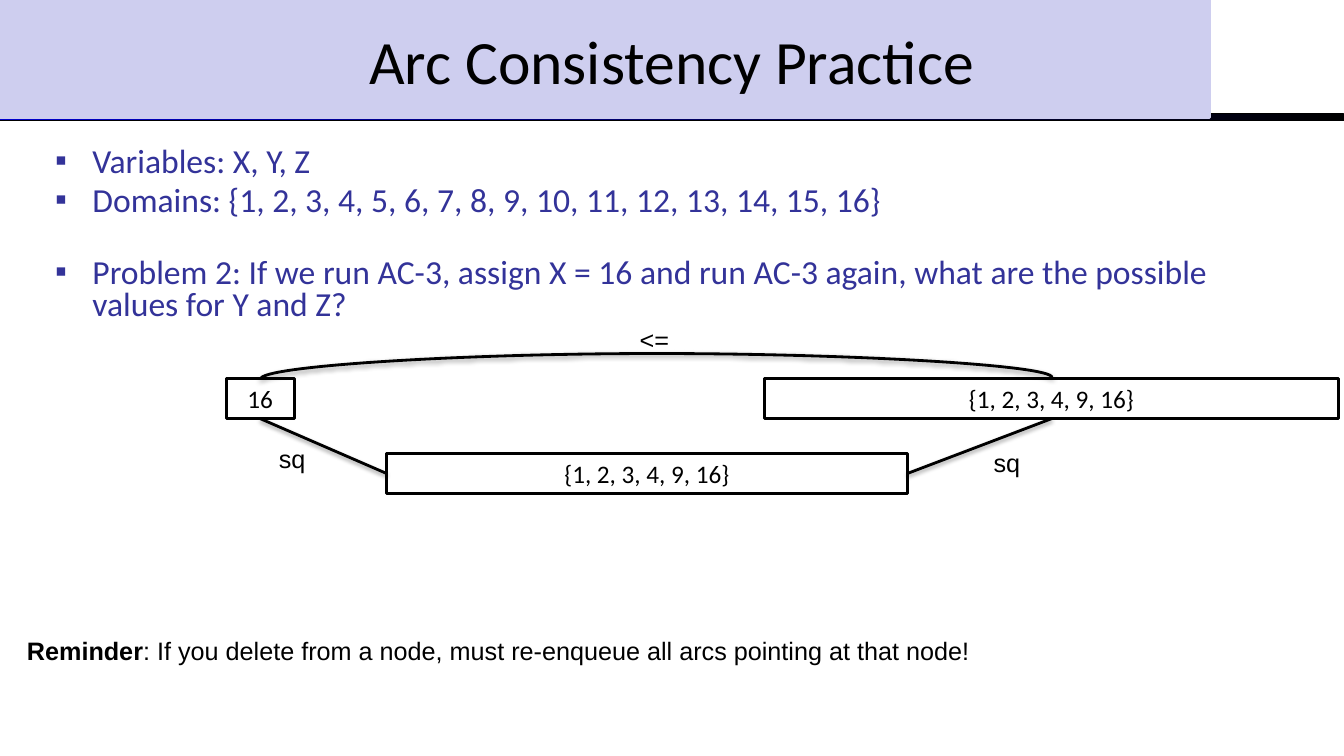
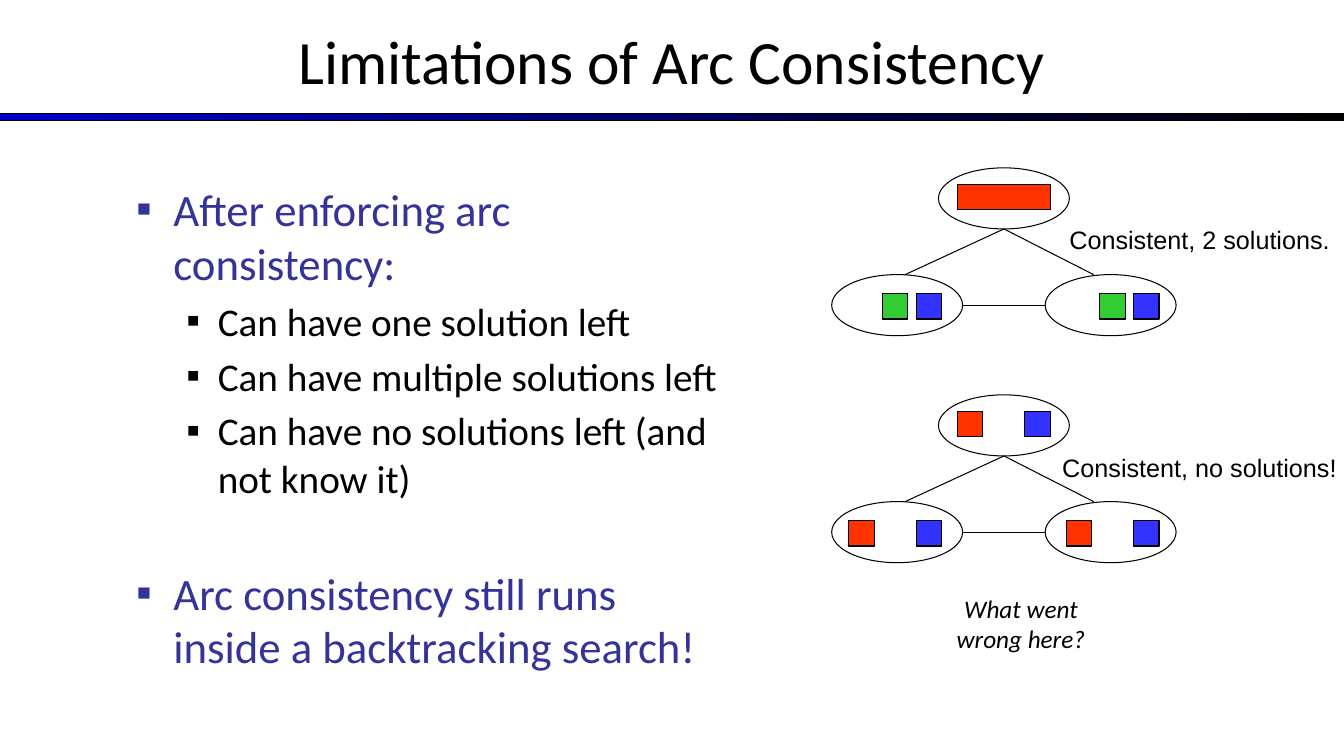
from dataclasses import dataclass

from lxml.etree import SubElement
from pptx import Presentation
from pptx.dml.color import RGBColor
from pptx.enum.shapes import MSO_CONNECTOR, MSO_SHAPE
from pptx.enum.text import MSO_ANCHOR, PP_ALIGN
from pptx.oxml.ns import qn
from pptx.util import Cm, Pt

COLOURS = {
    "black": "000000",
    "white": "FFFFFF",
    "bar": "0000CC",
    "band": "CECEEF",
    "point": "333399",
    "red": "FF3300",
    "green": "33CC33",
    "blue": "3333FF",
}
SLIDE_WIDTH, SLIDE_HEIGHT = 33.87, 19.05
THIN, THICK = 0.75, 2
TILE, TILE_STEP = 0.64, 0.85
NODE_WIDTH, NODE_HEIGHT = 3.3, 1.54
GRAPH_STEP = 5.72


@dataclass
class Area:
    """A rectangle in centimetres."""
    left: float
    top: float
    width: float
    height: float

    def lengths(self) -> list:
        return [Cm(value) for value in (self.left, self.top, self.width, self.height)]


@dataclass
class Span:
    text: str
    size: float = 18
    font: str = "Arial"
    colour: str = "black"
    bold: bool = False
    italic: bool = False


@dataclass
class Bullet:
    text: str
    size: float
    space: float = 0
    level: int = 0


@dataclass
class Node:
    left: float
    top: float
    tile_left: float
    tile_top: float


@dataclass
class Tile:
    colour: str
    slot: int
    slots: int = 1


@dataclass
class Graph:
    domains: list
    caption: str
    caption_area: Area


INDENTS = [(0.94, -0.94), (2.06, -0.79)]
NODES = [
    Node(23.65, 4.23, 0.48, 0.42),
    Node(20.96, 6.92, 0.43, 0.48),
    Node(26.34, 6.92, 0.53, 0.48),
]
EDGES = [
    (25.3, 5.77, 22.81, 6.92),
    (25.3, 5.77, 27.56, 6.92),
    (24.26, 7.7, 26.34, 7.7),
]
GREEN_BLUE = [Tile("green", 1), Tile("blue", 2)]
RED_BLUE = [Tile("red", 0), Tile("blue", 2)]
GRAPHS = [
    Graph([[Tile("red", 0, 3)], GREEN_BLUE, GREEN_BLUE],
          "Consistent, 2 solutions.", Area(26.7, 5.54, 7.16, 1.02)),
    Graph([RED_BLUE] * 3,
          "Consistent, no solutions!", Area(26.52, 11.28, 7.34, 1.02)),
]


def colour_of(name: str) -> RGBColor:
    return RGBColor.from_string(COLOURS[name])


def add_span(para, span: Span) -> None:
    run = para.add_run()
    run.text = span.text
    font = run.font
    font.name, font.size = span.font, Pt(span.size)
    font.bold, font.italic = span.bold, span.italic
    font.color.rgb = colour_of(span.colour)


def add_text(page, area: Area, spans: list, align=PP_ALIGN.LEFT,
             anchor=MSO_ANCHOR.TOP, wrap: bool = False):
    box = page.shapes.add_textbox(*area.lengths())
    frame = box.text_frame
    frame.word_wrap, frame.vertical_anchor = wrap, anchor
    para = frame.paragraphs[0]
    para.alignment = align
    for span in spans:
        add_span(para, span)
    return box


def add_form(shapes, kind, area: Area, fill: str | None, weight: float,
             line: str = "black"):
    form = shapes.add_shape(kind, *area.lengths())
    form.shadow.inherit = False
    if fill:
        form.fill.solid()
        form.fill.fore_color.rgb = colour_of(fill)
    else:
        form.fill.background()
    form.line.color.rgb = colour_of(line)
    form.line.width = Pt(weight)
    return form


def add_line(shapes, ends: tuple, weight: float, kind=MSO_CONNECTOR.STRAIGHT,
             shadow: bool = False):
    connector = shapes.add_connector(kind, *[Cm(value) for value in ends])
    connector.line.color.rgb = colour_of("black")
    connector.line.width = Pt(weight)
    effects = SubElement(connector.element.spPr, qn("a:effectLst"))
    if shadow:
        outer = SubElement(effects, qn("a:outerShdw"), blurRad="40000",
                           dist="20000", dir="5400000", rotWithShape="0")
        tint = SubElement(outer, qn("a:srgbClr"), val=COLOURS["black"])
        SubElement(tint, qn("a:alpha"), val="38000")
    return connector


def add_arch(page, left: float, right: float, top: float, rise: float) -> None:
    """Curve over two points at one height: a curved connector turned a quarter."""
    depth, span = 0.04, right - left
    middle = (left + right) / 2
    arch = add_line(page.shapes,
                    (middle + depth / 2, top + span / 2,
                     middle - depth / 2, top - span / 2),
                    THICK, MSO_CONNECTOR.CURVE, shadow=True)
    properties = arch.element.spPr
    properties.find(qn("a:xfrm")).set("rot", "5400000")
    geometry = properties.find(qn("a:prstGeom"))
    adjustments = geometry.find(qn("a:avLst"))
    if adjustments is None:
        adjustments = SubElement(geometry, qn("a:avLst"))
    SubElement(adjustments, qn("a:gd"), name="adj1",
               fmla=f"val {round(rise / depth * 100000)}")


def add_bullets(page, area: Area, bullets: list, line_spacing: float = 1) -> None:
    frame = add_text(page, area, [], wrap=True).text_frame
    for index, bullet in enumerate(bullets):
        para = frame.add_paragraph() if index else frame.paragraphs[0]
        para.level = bullet.level
        properties = para._p.get_or_add_pPr()
        margin, indent = INDENTS[bullet.level]
        properties.set("marL", str(Cm(margin)))
        properties.set("indent", str(Cm(indent)))
        SubElement(properties, qn("a:buFont"), typeface="Arial")
        SubElement(properties, qn("a:buChar"), char="▪")
        para.line_spacing = line_spacing
        para.space_before = Pt(bullet.space)
        colour = "black" if bullet.level else "point"
        add_span(para, Span(bullet.text, bullet.size, "Calibri", colour))


def add_page(deck, title: str, banded: bool = False):
    page = deck.slides.add_slide(deck.slide_layouts[6])
    bar = add_form(page.shapes, MSO_SHAPE.RECTANGLE,
                   Area(0, 2.87, SLIDE_WIDTH, 0.18), "bar", THIN)
    bar.fill.gradient()
    bar.fill.gradient_angle = 0
    for stop, name, position in zip(bar.fill.gradient_stops, ("bar", "black"), (0, 1)):
        stop.color.rgb = colour_of(name)
        stop.position = position
    if banded:
        add_form(page.shapes, MSO_SHAPE.RECTANGLE, Area(0, 0, 30.48, 2.97),
                 "band", THICK, line="band")
    add_text(page, Area(0, -0.08, SLIDE_WIDTH, 3.18), [Span(title, 44, "Calibri")],
             PP_ALIGN.CENTER, MSO_ANCHOR.MIDDLE, wrap=True)
    return page


def add_domain(page, area: Area, text: str):
    box = add_form(page.shapes, MSO_SHAPE.RECTANGLE, area, "white", THICK)
    frame = box.text_frame
    frame.vertical_anchor = MSO_ANCHOR.MIDDLE
    para = frame.paragraphs[0]
    para.alignment = PP_ALIGN.CENTER
    add_span(para, Span(text, 18, "Calibri"))
    return box


def add_graph(page, graph: Graph, drop: float) -> None:
    network = page.shapes.add_group_shape().shapes
    for node in NODES:
        add_form(network, MSO_SHAPE.OVAL,
                 Area(node.left, node.top + drop, NODE_WIDTH, NODE_HEIGHT), None, THIN)
    for x1, y1, x2, y2 in EDGES:
        add_line(network, (x1, y1 + drop, x2, y2 + drop), THIN)
    for node, domain in zip(NODES, graph.domains):
        for tile in domain:
            area = Area(node.left + node.tile_left + tile.slot * TILE_STEP,
                        node.top + node.tile_top + drop,
                        TILE + (tile.slots - 1) * TILE_STEP, TILE)
            add_form(page.shapes, MSO_SHAPE.RECTANGLE, area, tile.colour, THIN)
    caption = add_text(page, graph.caption_area, [Span(graph.caption)])
    caption.text_frame.margin_right = Cm(0)


def build_practice(deck) -> None:
    page = add_page(deck, "Arc Consistency Practice", banded=True)
    add_bullets(page, Area(1.14, 3.61, 31.6, 15.04), [
        Bullet("Variables: X, Y, Z", 24),
        Bullet("Domains: {1, 2, 3, 4, 5, 6, 7, 8, 9, 10, 11, 12, 13, 14, 15, 16}", 24, 4.8),
        Bullet("Problem 2: If we run AC-3, assign X = 16 and run AC-3 again, "
               "what are the possible values for Y and Z?", 24, 28),
    ], 0.8)
    x_box = add_domain(page, Area(5.7, 9.53, 1.72, 1.02), "16")
    y_box = add_domain(page, Area(9.74, 11.42, 13.13, 1.02), "{1, 2, 3, 4, 9, 16}")
    z_box = add_domain(page, Area(19.26, 9.53, 14.48, 1.02), "{1, 2, 3, 4, 9, 16}")
    for start, start_side, end, end_side in ((x_box, 2, y_box, 1), (y_box, 3, z_box, 2)):
        edge = add_line(page.shapes, (0, 0, 1, 1), THICK, shadow=True)
        edge.begin_connect(start, start_side)
        edge.end_connect(end, end_side)
    add_arch(page, 6.57, 26.51, 9.53, 0.64)
    for left, top, text in ((6.78, 11.05, "sq"), (24.79, 11.15, "sq"), (15.87, 8.05, "<=")):
        add_text(page, Area(left, top, 1.27, 1.02), [Span(text)])
    reminder = add_text(page, Area(0.43, 16.04, 24.69, 0.86), [
        Span("Reminder", bold=True),
        Span(": If you delete from a node, must re-enqueue all arcs pointing at that node!"),
    ])
    reminder.text_frame.paragraphs[0].line_spacing = 0.8


def build_limitations(deck) -> None:
    page = add_page(deck, "Limitations of Arc Consistency")
    add_bullets(page, Area(3.18, 4.45, 15.44, 12.57), [
        Bullet("After enforcing arc consistency:", 32),
        Bullet("Can have one solution left", 28, 5.6, 1),
        Bullet("Can have multiple solutions left", 28, 5.6, 1),
        Bullet("Can have no solutions left (and not know it)", 28, 5.6, 1),
        Bullet("Arc consistency still runs inside a backtracking search!", 32, 46),
    ])
    for index, graph in enumerate(GRAPHS):
        add_graph(page, graph, index * GRAPH_STEP)
    add_text(page, Area(23.29, 14.82, 4.88, 1.8),
             [Span("What went wrong here?", 18, "Calibri", italic=True)],
             PP_ALIGN.CENTER, wrap=True)


def main() -> None:
    deck = Presentation()
    deck.slide_width, deck.slide_height = Cm(SLIDE_WIDTH), Cm(SLIDE_HEIGHT)
    build_practice(deck)
    build_limitations(deck)
    deck.save("out.pptx")


if __name__ == "__main__":
    main()
